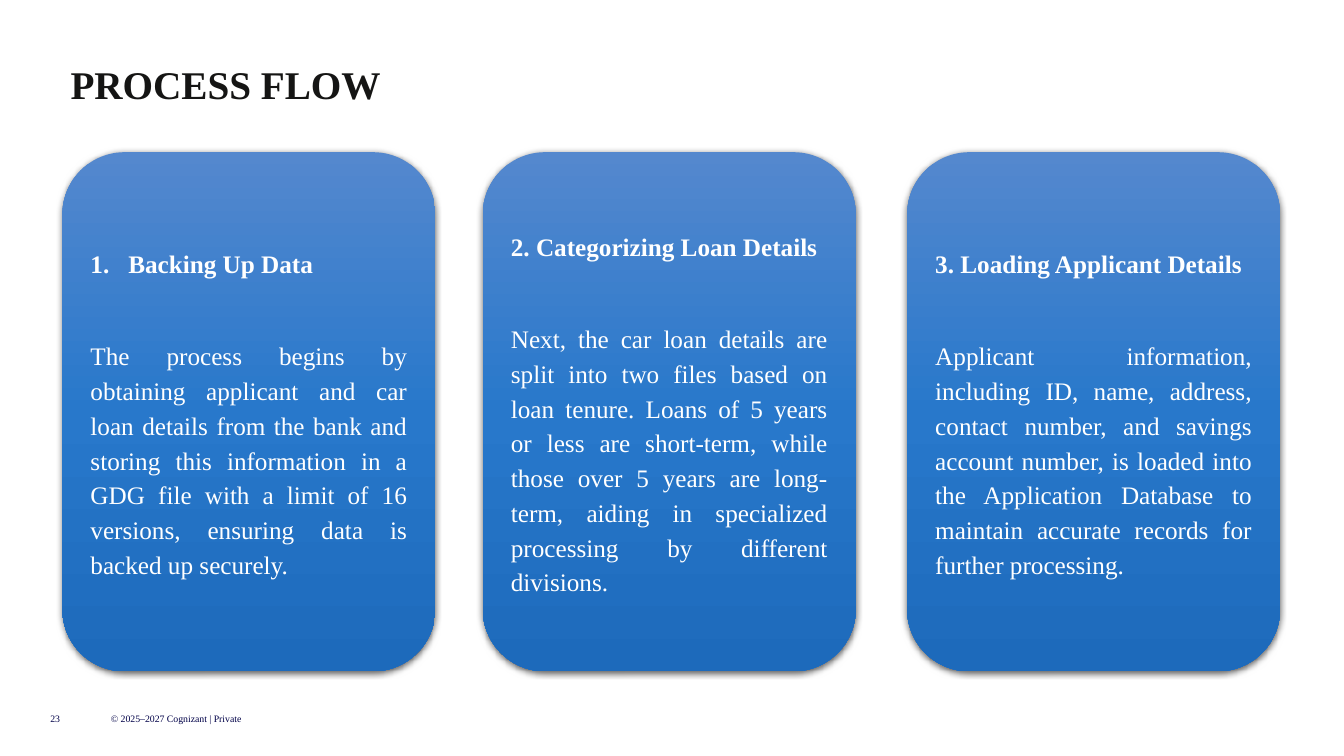
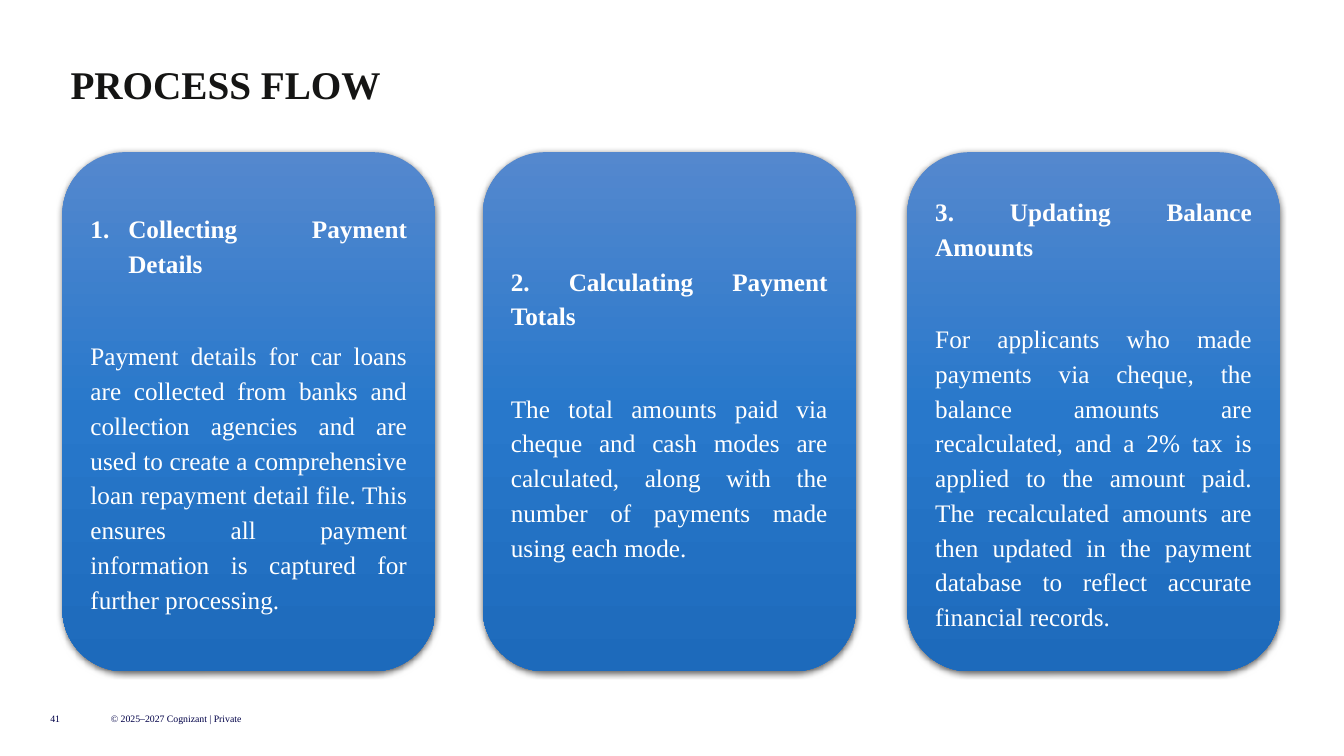
from copy import deepcopy

from lxml import etree
from pptx import Presentation
from pptx.dml.color import RGBColor
from pptx.enum.shapes import MSO_SHAPE
from pptx.enum.text import MSO_ANCHOR, PP_ALIGN
from pptx.oxml import parse_xml
from pptx.oxml.ns import nsdecls, qn
from pptx.util import Pt

ROUNDED = MSO_SHAPE.ROUNDED_RECTANGLE
TOP, MIDDLE = MSO_ANCHOR.TOP, MSO_ANCHOR.MIDDLE
JUSTIFY = PP_ALIGN.JUSTIFY

FONT = "Times New Roman"
NAVY = RGBColor(0x00, 0x00, 0x48)
INK = RGBColor(0x15, 0x15, 0x14)
WHITE = RGBColor(0xFF, 0xFF, 0xFF)
CARD_GRADIENT = (
    (0, RGBColor(0x54, 0x88, 0xCE)),
    (0.5, RGBColor(0x28, 0x78, 0xCB)),
    (1, RGBColor(0x1D, 0x6A, 0xBB)),
)
CARD_SHADOW = (
    f'<a:outerShdw {nsdecls("a")} blurRad="{Pt(4.5)}" dist="{Pt(1.5)}" dir="5400000" '
    'algn="ctr" rotWithShape="0"><a:srgbClr val="000000"><a:alpha val="63000"/>'
    "</a:srgbClr></a:outerShdw>"
)

CARD_LEFTS = (44.6, 344.9, 648)
CARD_TOP, CARD_WIDTH, CARD_HEIGHT = 108.7, 266.4, 370.8
NUMBER_INDENT = 27
HEADING_GAP, BODY_GAP = 41, 8

TITLE = "PROCESS FLOW"
COPYRIGHT = "© 2025–2027 Cognizant | Private"

# Page number, then (heading, body) of each card; the first heading is auto-numbered.
SLIDES = (
    ("23", (
        ("Backing Up Data",
         "The process begins by obtaining applicant and car loan details from the bank and "
         "storing this information in a GDG file with a limit of 16 versions, ensuring data "
         "is backed up securely."),
        ("2. Categorizing Loan Details",
         "Next, the car loan details are split into two files based on loan tenure. Loans of "
         "5 years or less are short-term, while those over 5 years are long-term, aiding in "
         "specialized processing by different divisions."),
        ("3. Loading Applicant Details",
         "Applicant information, including ID, name, address, contact number, and savings "
         "account number, is loaded into the Application Database to maintain accurate "
         "records for further processing."),
    )),
    ("41", (
        ("Collecting Payment Details",
         "Payment details for car loans are collected from banks and collection agencies and "
         "are used to create a comprehensive loan repayment detail file. This ensures all "
         "payment information is captured for further processing."),
        ("2. Calculating Payment Totals",
         "The total amounts paid via cheque and cash modes are calculated, along with the "
         "number of payments made using each mode."),
        ("3. Updating Balance Amounts",
         "For applicants who made payments via cheque, the balance amounts are recalculated, "
         "and a 2% tax is applied to the amount paid. The recalculated amounts are then "
         "updated in the payment database to reflect accurate financial records."),
    )),
)


def format_paragraph(paragraph, size, color, bold=False, line_spacing=1.0, space_after=0):
    paragraph.alignment = JUSTIFY
    paragraph.line_spacing = line_spacing
    paragraph.space_after = Pt(space_after)
    for run in paragraph.runs:
        run.font.name = FONT
        run.font.size = Pt(size)
        run.font.bold = bold
        run.font.color.rgb = color


def add_label(slide, text, left, top, width, height, anchor, **style):
    """Add a one-paragraph text box without margins."""
    frame = slide.shapes.add_textbox(Pt(left), Pt(top), Pt(width), Pt(height)).text_frame
    frame.margin_left = frame.margin_right = frame.margin_top = frame.margin_bottom = 0
    frame.word_wrap = True
    frame.vertical_anchor = anchor
    frame.text = text
    format_paragraph(frame.paragraphs[0], **style)


def add_title_and_footer(slide, page_number):
    for text, left, width in ((page_number, 36, 28.8), (COPYRIGHT, 79.2, 139.7)):
        add_label(slide, text, left, 504, width, 18, MIDDLE, size=7, color=NAVY)
    add_label(slide, TITLE, 50.4, 46.8, 895.7, 30.2, TOP,
              size=28, color=INK, bold=True, line_spacing=0.9)


def style_card(shape):
    """Give the shape a three-stop vertical gradient and a soft shadow."""
    shape.line.fill.background()
    shape.fill.gradient()
    shape.fill.gradient_angle = 270
    properties = shape.element.spPr
    first_stop = properties.find(".//" + qn("a:gs"))
    first_stop.addnext(deepcopy(first_stop))
    for stop, (position, color) in zip(shape.fill.gradient_stops, CARD_GRADIENT):
        stop.position = position
        stop.color.rgb = color
    shape.shadow.inherit = False
    properties.find(qn("a:effectLst")).append(parse_xml(CARD_SHADOW))


def number_paragraph(paragraph):
    properties = paragraph._p.get_or_add_pPr()
    properties.set("marL", str(Pt(NUMBER_INDENT)))
    properties.set("indent", str(-Pt(NUMBER_INDENT)))
    etree.SubElement(properties, qn("a:buFont"), typeface="+mj-lt")
    etree.SubElement(properties, qn("a:buAutoNum"), type="arabicPeriod")


def add_card(slide, left, heading, body, numbered):
    shape = slide.shapes.add_shape(
        ROUNDED, Pt(left), Pt(CARD_TOP), Pt(CARD_WIDTH), Pt(CARD_HEIGHT))
    style_card(shape)
    frame = shape.text_frame
    frame.word_wrap = True
    frame.vertical_anchor = MIDDLE
    frame.text = f"{heading}\n{body}"
    heading_paragraph, body_paragraph = frame.paragraphs
    if numbered:
        number_paragraph(heading_paragraph)
    format_paragraph(heading_paragraph, 18, WHITE, True, 1.15, HEADING_GAP)
    format_paragraph(body_paragraph, 18, WHITE, False, 1.15, BODY_GAP)


def main():
    presentation = Presentation()
    presentation.slide_width, presentation.slide_height = Pt(960), Pt(540)
    blank_layout = presentation.slide_layouts[6]
    for page_number, cards in SLIDES:
        slide = presentation.slides.add_slide(blank_layout)
        add_title_and_footer(slide, page_number)
        for index, (left, (heading, body)) in enumerate(zip(CARD_LEFTS, cards)):
            add_card(slide, left, heading, body, numbered=index == 0)
    presentation.save("out.pptx")


if __name__ == "__main__":
    main()
